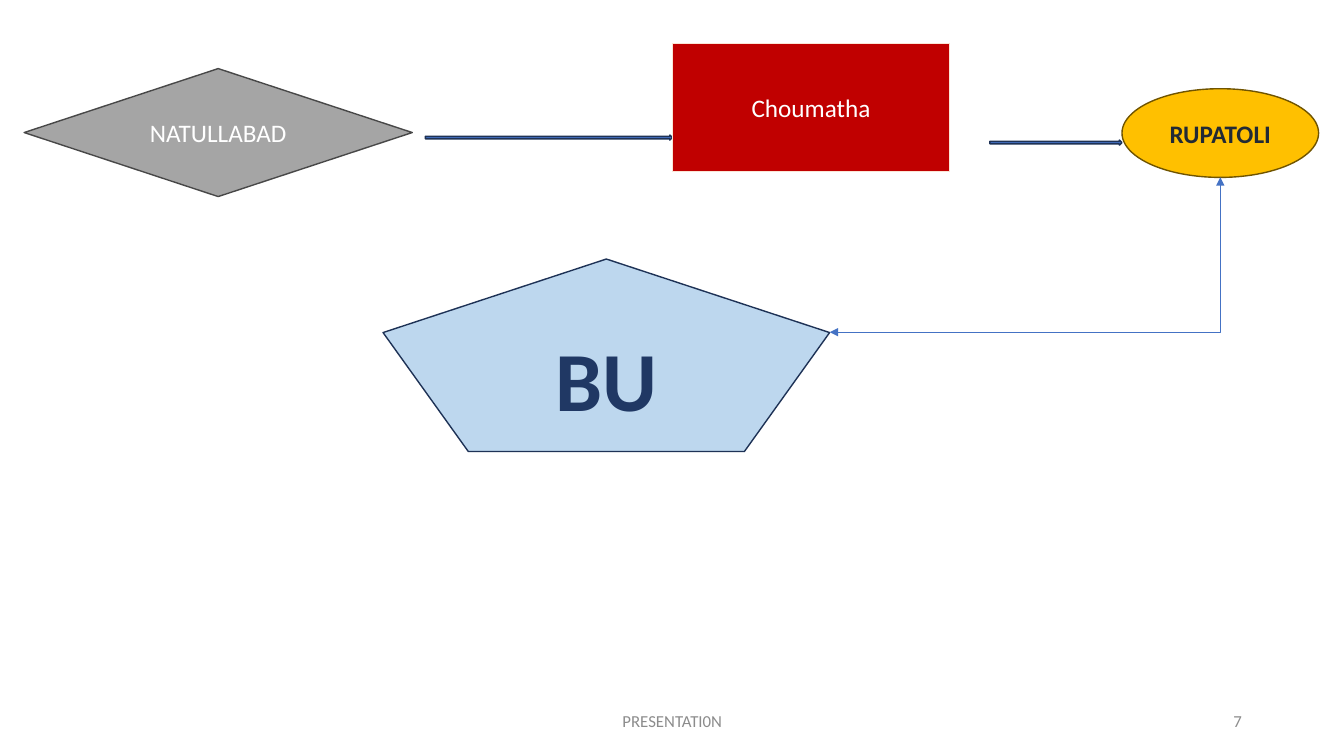
from dataclasses import dataclass
from typing import Optional

from lxml import etree
from pptx import Presentation
from pptx.dml.color import RGBColor
from pptx.enum.shapes import MSO_CONNECTOR, MSO_SHAPE
from pptx.enum.text import MSO_ANCHOR, PP_ALIGN
from pptx.oxml.ns import qn
from pptx.shapes.base import BaseShape
from pptx.slide import Slide
from pptx.util import Inches, Pt

DIAMOND = MSO_SHAPE.FLOWCHART_DECISION
ARROW = MSO_SHAPE.RIGHT_ARROW
ELLIPSE = MSO_SHAPE.OVAL
PENTAGON = MSO_SHAPE.REGULAR_PENTAGON
RECTANGLE = MSO_SHAPE.RECTANGLE
ELBOW = MSO_CONNECTOR.ELBOW
MIDDLE = MSO_ANCHOR.MIDDLE
CENTER = PP_ALIGN.CENTER
RIGHT = PP_ALIGN.RIGHT

SLIDE_WIDTH = Inches(13.33)
SLIDE_HEIGHT = Inches(7.5)


@dataclass(frozen=True)
class Theme:
    font: str = "Calibri"
    white: str = "FFFFFF"
    gray: str = "A5A5A5"
    dark_gray: str = "484848"
    footer_gray: str = "8C8C8C"
    blue: str = "4472C4"
    dark_blue: str = "1E3256"
    light_blue: str = "BDD7EE"
    navy: str = "203864"
    gold: str = "FFC000"
    dark_gold: str = "705400"
    ink: str = "222A35"
    red: str = "C00000"
    blush: str = "FBE5D6"
    footer_size: float = 12
    stop_size: float = 18
    campus_size: float = 60
    outline: float = 1
    route: float = 0.5


THEME = Theme()


@dataclass(frozen=True)
class Area:
    """Percentages of the slide's width and height."""
    left: float
    top: float
    width: float
    height: float

    def lengths(self) -> tuple[int, int, int, int]:
        return (across(self.left), down(self.top), across(self.width), down(self.height))


@dataclass(frozen=True)
class Label:
    text: str
    color: str
    size: float = THEME.stop_size
    bold: bool = False
    alignment: PP_ALIGN = CENTER


@dataclass(frozen=True)
class Figure:
    kind: MSO_SHAPE
    area: Area
    fill: str
    line: str
    label: Optional[Label] = None


@dataclass(frozen=True)
class FooterText:
    area: Area
    label: Label


TERMINAL = Area(83.48, 11.73, 14.63, 11.73)
CAMPUS = Area(28.5, 34.27, 33.23, 25.47)
CROSSING = Area(50.03, 5.73, 20.63, 16.93)
FIRST_ARROW_LEFT = 31.65
PENTAGON_SHOULDER = 0.38

FIGURES = (
    Figure(DIAMOND, Area(1.8, 9.07, 28.88, 16.93), THEME.gray, THEME.dark_gray,
           Label("NATULLABAD", THEME.white)),
    Figure(ARROW, Area(FIRST_ARROW_LEFT, 17.87, CROSSING.left - FIRST_ARROW_LEFT, 0.67),
           THEME.blue, THEME.dark_blue),
    Figure(ARROW, Area(73.65, 18.53, 9.83, 0.67), THEME.blue, THEME.dark_blue),
    Figure(ELLIPSE, TERMINAL, THEME.gold, THEME.dark_gold,
           Label("RUPATOLI", THEME.ink, bold=True)),
    Figure(PENTAGON, CAMPUS, THEME.light_blue, THEME.dark_blue,
           Label("BU", THEME.navy, THEME.campus_size, bold=True)),
    Figure(RECTANGLE, CROSSING, THEME.red, THEME.blush, Label("Choumatha", THEME.white)),
)
FOOTER_TEXTS = (
    FooterText(Area(70.65, 92.67, 22.5, 5.33),
               Label("7", THEME.footer_gray, THEME.footer_size, alignment=RIGHT)),
    FooterText(Area(33.15, 92.67, 33.75, 5.33),
               Label("PRESENTATI0N", THEME.footer_gray, THEME.footer_size)),
)
ROUTE_START = (CAMPUS.left + CAMPUS.width, CAMPUS.top + CAMPUS.height * PENTAGON_SHOULDER)
ROUTE_END = (TERMINAL.left + TERMINAL.width / 2, TERMINAL.top + TERMINAL.height)


def across(percent: float) -> int:
    return round(SLIDE_WIDTH * percent / 100)


def down(percent: float) -> int:
    return round(SLIDE_HEIGHT * percent / 100)


def write_label(shape: BaseShape, label: Label) -> None:
    frame = shape.text_frame
    frame.word_wrap = True
    frame.vertical_anchor = MIDDLE
    paragraph = frame.paragraphs[0]
    paragraph.alignment = label.alignment
    run = paragraph.add_run()
    run.text = label.text
    run.font.name = THEME.font
    run.font.size = Pt(label.size)
    run.font.bold = label.bold
    run.font.color.rgb = RGBColor.from_string(label.color)


def draw_figure(slide: Slide, figure: Figure) -> None:
    shape = slide.shapes.add_shape(figure.kind, *figure.area.lengths())
    shape.shadow.inherit = False
    shape.fill.solid()
    shape.fill.fore_color.rgb = RGBColor.from_string(figure.fill)
    shape.line.color.rgb = RGBColor.from_string(figure.line)
    shape.line.width = Pt(THEME.outline)
    if figure.label:
        write_label(shape, figure.label)


def draw_route(slide: Slide, start: tuple[float, float], end: tuple[float, float]) -> None:
    connector = slide.shapes.add_connector(
        ELBOW, across(start[0]), down(start[1]), across(end[0]), down(end[1]))
    connector.line.color.rgb = RGBColor.from_string(THEME.blue)
    connector.line.width = Pt(THEME.route)
    properties = connector._element.spPr
    properties.find(qn("a:prstGeom")).set("prst", "bentConnector2")
    line = connector.line._get_or_add_ln()
    for tag in ("a:headEnd", "a:tailEnd"):
        etree.SubElement(line, qn(tag), type="triangle")
    etree.SubElement(properties, qn("a:effectLst"))


def draw_footer_text(slide: Slide, footer_text: FooterText) -> None:
    text_box = slide.shapes.add_textbox(*footer_text.area.lengths())
    write_label(text_box, footer_text.label)


def main() -> None:
    presentation = Presentation()
    presentation.slide_width = SLIDE_WIDTH
    presentation.slide_height = SLIDE_HEIGHT
    slide = presentation.slides.add_slide(presentation.slide_layouts.get_by_name("Blank"))
    for figure in FIGURES:
        draw_figure(slide, figure)
    draw_route(slide, ROUTE_START, ROUTE_END)
    for footer_text in FOOTER_TEXTS:
        draw_footer_text(slide, footer_text)
    presentation.save("out.pptx")


if __name__ == "__main__":
    main()
